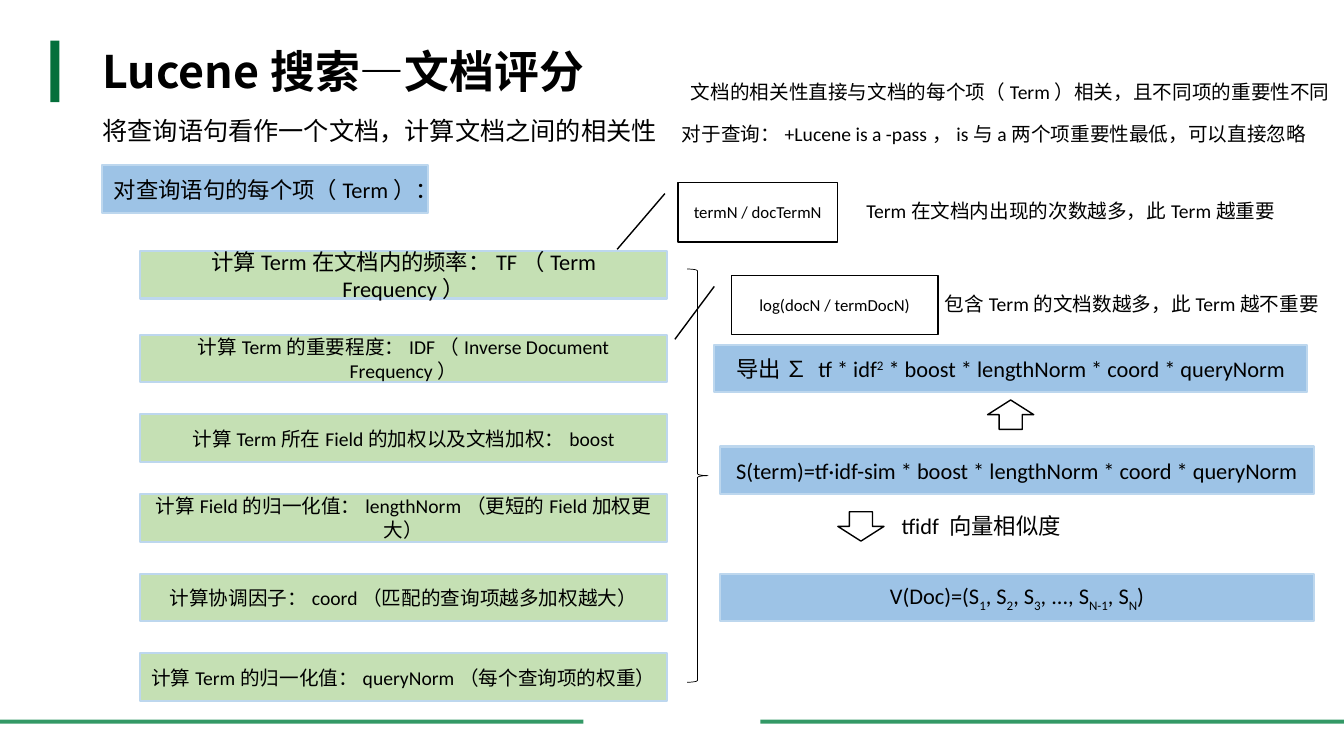
import pptx
import pptx.util
import pptx.dml.color
import pptx.enum.shapes
import pptx.enum.text

Pt = pptx.util.Pt
Shape = pptx.enum.shapes.MSO_SHAPE
Align = pptx.enum.text.PP_ALIGN
Anchor = pptx.enum.text.MSO_ANCHOR

BAR_HEIGHT = 34
BLUE, GREEN, EDGE, BLACK = "9DC3E6", "C5E0B4", "BDD7EE", "000000"
SUB, SUPER = -25000, 30000


def color(value):
    return pptx.dml.color.RGBColor.from_string(value)


def write(frame, spans, size, bold=False, align=Align.LEFT):
    if isinstance(spans, str):
        spans = [(spans, "Calibri", 0)]
    para = frame.paragraphs[0]
    para.alignment = align
    for text, font_name, baseline in spans:
        span = para.add_run()
        span.text = text
        span.font.name = font_name
        span.font.size = Pt(size)
        span.font.bold = bold
        span.font.color.rgb = color(BLACK)
        if baseline:
            span.font._element.set("baseline", str(baseline))


def add_text(page, box, spans, size, bold=False, anchor=Anchor.TOP):
    frame = page.shapes.add_textbox(*map(Pt, box)).text_frame
    frame.word_wrap = False
    frame.vertical_anchor = anchor
    write(frame, spans, size, bold)


def add_figure(page, kind, box, fill=None, line=None, width=1, spans=None, size=14):
    figure = page.shapes.add_shape(kind, *map(Pt, box))
    figure.shadow.inherit = False
    if fill:
        figure.fill.solid()
        figure.fill.fore_color.rgb = color(fill)
    else:
        figure.fill.background()
    if line:
        figure.line.color.rgb = color(line)
        figure.line.width = Pt(width)
    else:
        figure.line.fill.background()
    if spans:
        figure.text_frame.word_wrap = True
        figure.text_frame.vertical_anchor = Anchor.MIDDLE
        write(figure.text_frame, spans, size, align=Align.CENTER)
    return figure


def add_bar(page, left, top, width, fill, spans, size):
    add_figure(page, Shape.RECTANGLE, (left, top, width, BAR_HEIGHT),
               fill, EDGE, 1.5, spans, size)


def add_frame(page, width, height):
    stripe_width = 417
    for left in (0, width - stripe_width):
        add_figure(page, Shape.RECTANGLE, (left, height - 26, stripe_width, 3), "339966")
    add_figure(page, Shape.RECTANGLE, (36, 29, 6.5, 44), "046F3B")


def add_heading(page, left, top):
    title = [("Lucene", "Noto Sans CJK SC", 0), ("搜索", "Calibri", 0),
             ("—", "Noto Sans CJK SC", 0), ("文档评分", "Calibri", 0)]
    add_text(page, (left, top, 481.7, 65.5), title, 32, True, Anchor.MIDDLE)
    add_text(page, (left, top + 60.5, 410.4, 29),
             "将查询语句看作一个文档，计算文档之间的相关性", 18)


def add_remarks(page, left, top):
    add_text(page, (left + 6.5, top, 472.3, 24.5),
             "文档的相关性直接与文档的每个项（Term）相关，且不同项的重要性不同", 14)
    add_text(page, (left, top + 30.2, 460.8, 24.5),
             "对于查询：+Lucene is a -pass，is与a两个项重要性最低，可以直接忽略", 14)


def add_steps(page, left, top):
    indent, width, pitch = 27.4, 376.6, 56.9
    add_bar(page, left, top, 233.3, BLUE, "对查询语句的每个项（Term）：", 16)
    add_bar(page, left + indent, top + 61.2, width, GREEN,
            "计算Term在文档内的频率：TF（Term Frequency）", 16)
    steps = [
        "计算Term的重要程度：IDF（Inverse Document Frequency）",
        "计算Term所在Field的加权以及文档加权：boost",
        "计算Field的归一化值：lengthNorm（更短的Field加权更大）",
        "计算协调因子：coord（匹配的查询项越多加权越大）",
        "计算Term的归一化值：queryNorm（每个查询项的权重）",
    ]
    for index, step in enumerate(steps):
        add_bar(page, left + indent, top + 121 + index * pitch, width, GREEN, step, 14)


def add_callout(page, box, formula, pointer, remark, remark_left, remark_width):
    callout = add_figure(page, Shape.LINE_CALLOUT_1, box, None, BLACK, 1, formula, 12)
    for index, value in enumerate((0.188, -0.083) + pointer):
        callout.adjustments[index] = value
    add_text(page, (remark_left, box[1] + 8.6, remark_width, 24.5), remark, 14)


def add_scoring(page, left, top):
    width, arrow_size = 424, (33, 21)
    export = [("导出 ∑ ", "Times New Roman", 0), ("tf * idf", "Calibri", 0),
              ("2", "Calibri", SUPER),
              (" * boost * lengthNorm * coord * queryNorm", "Calibri", 0)]
    vector = [("V(Doc)=(S", "Calibri", 0)]
    for position in ("1", "2", "3", "N-1", "N"):
        joint = {"3": ", ..., S", "N": ")"}.get(position, ", S")
        vector += [(position, "Calibri", SUB), (joint, "Calibri", 0)]
    add_bar(page, left - 4.5, top, width, BLUE, export, 16)
    add_bar(page, left, top + 72.6, width, BLUE,
            "S(term)=tf·idf-sim * boost * lengthNorm * coord * queryNorm", 16)
    add_bar(page, left, top + 163.4, width, BLUE, vector, 16)
    add_figure(page, Shape.UP_ARROW, (left + 191, top + 39.4) + arrow_size, None, BLACK)
    add_figure(page, Shape.DOWN_ARROW, (left + 84, top + 119.2) + arrow_size, None, BLACK)
    add_text(page, (left + 122.4, top + 115.9, 128.2, 26.6), "tfidf 向量相似度", 16)


def main():
    deck = pptx.Presentation()
    deck.slide_width, deck.slide_height = Pt(960.5), Pt(540)
    page = deck.slides.add_slide(deck.slide_layouts[6])
    add_frame(page, 960.5, 540)
    add_heading(page, 66.2, 18)
    add_steps(page, 72.7, 118.1)
    add_figure(page, Shape.RIGHT_BRACE, (491, 192.2, 15, 295.2), None, BLACK, 0.5)
    add_callout(page, (484.6, 130.3, 113.8, 42.5), "termN / docTermN", (1.125, -0.383),
                "Term在文档内出现的次数越多，此Term越重要", 612, 308.9)
    add_callout(page, (522.7, 196.6, 147.6, 42.5), "log(docN / termDocN)", (1.077, -0.274),
                "包含Term的文档数越多，此Term越不重要", 668.2, 283.7)
    add_remarks(page, 480.2, 53.3)
    add_scoring(page, 514.8, 246.3)
    deck.save("out.pptx")


if __name__ == "__main__":
    main()
